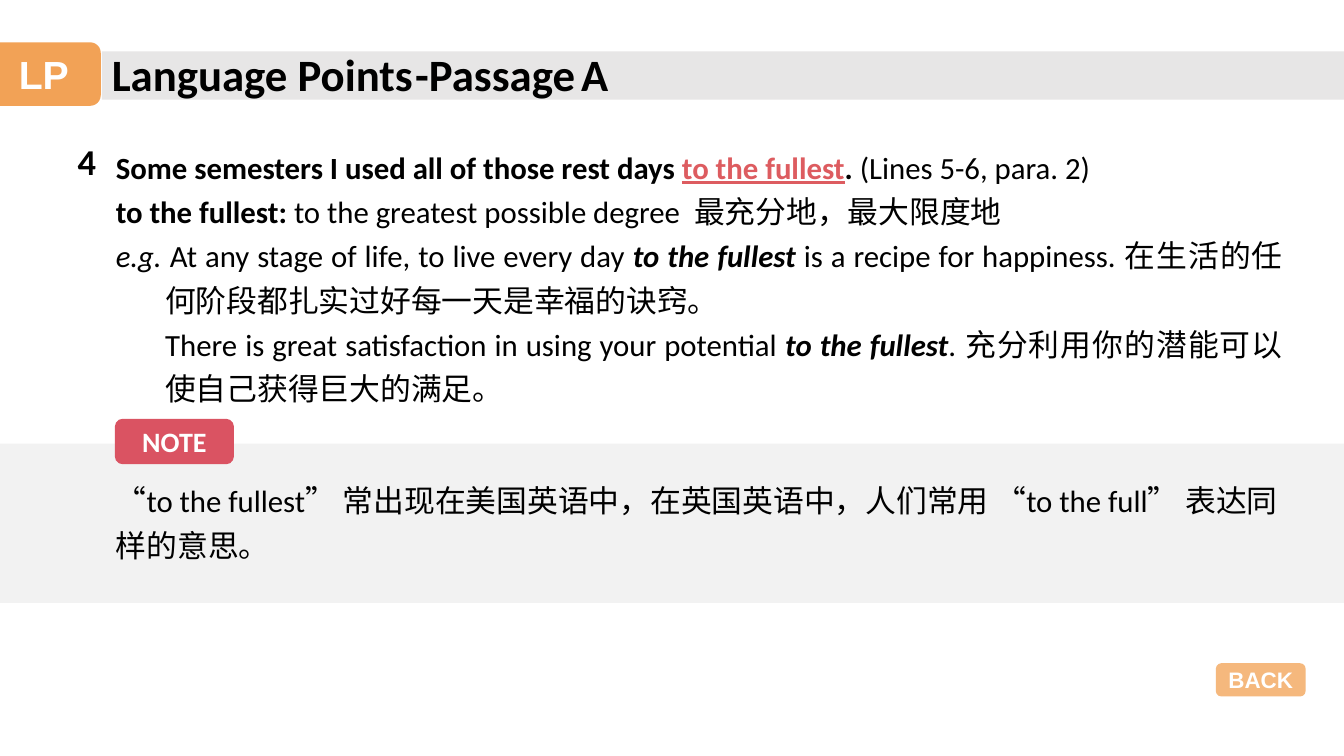
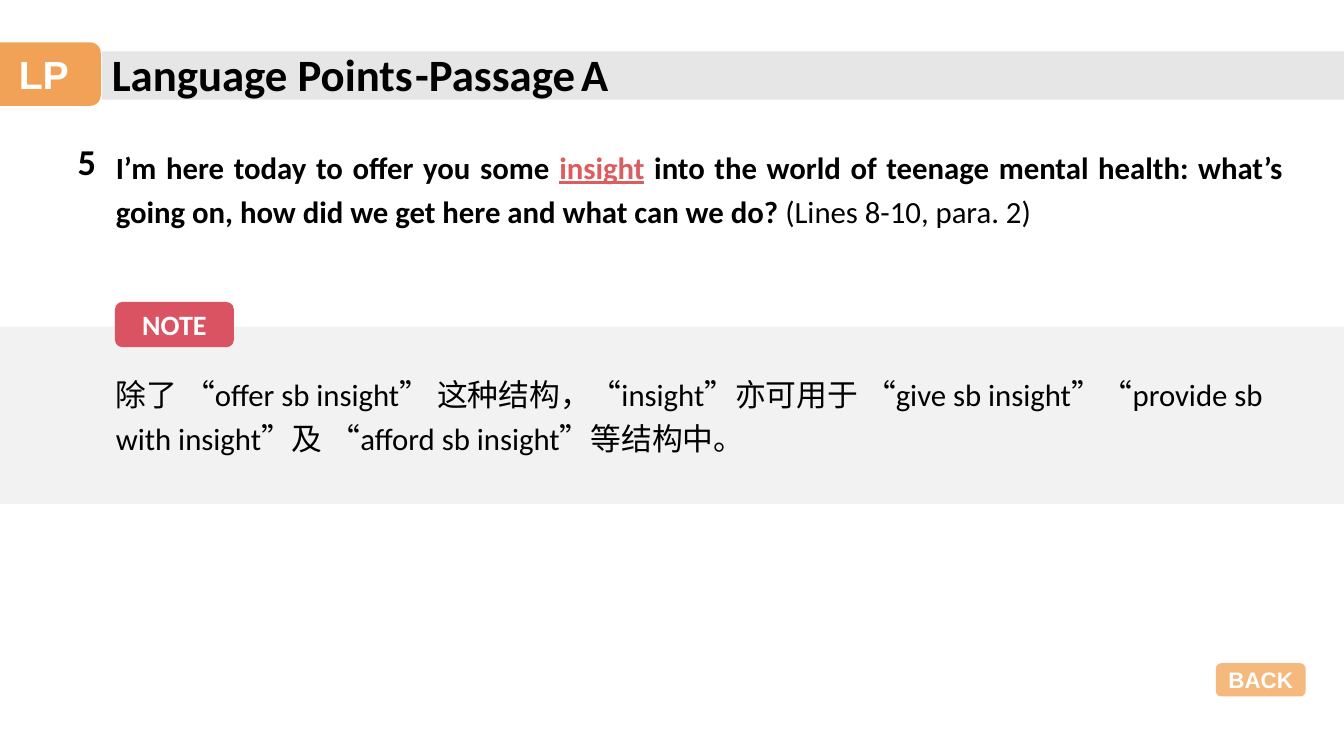
import pptx
import pptx.util
import pptx.dml.color
import pptx.enum.shapes
import pptx.enum.text
import pptx.oxml
import pptx.oxml.ns
from dataclasses import dataclass

KIND = pptx.enum.shapes.MSO_SHAPE
ALIGN = pptx.enum.text.PP_ALIGN
MID = pptx.enum.text.MSO_ANCHOR.MIDDLE


@dataclass(frozen=True)
class Theme:
    black: str = "000000"
    white: str = "FFFFFF"
    orange: str = "F19B48"
    red: str = "DA5362"
    key: str = "DD5C60"
    bar: str = "E7E6E6"
    band: str = "F2F2F2"
    latin: str = "Calibri"
    label: str = "Arial"
    asian: str = "Noto Sans CJK SC"
    title: int = 32
    gap: int = 18
    badge: int = 28
    number: int = 26
    body: int = 22
    note: int = 20
    back: int = 16
    lines: float = 1.2


class Deck:
    """Draws the lesson slides, with lengths in percent of the slide size."""

    def __init__(self, theme):
        self.theme = theme
        self.show = pptx.Presentation()
        self.show.slide_width = pptx.util.Inches(13.333)
        self.show.slide_height = pptx.util.Inches(7.5)
        self.slide = None

    def place(self, x, y, w, h):
        wide, high = self.show.slide_width, self.show.slide_height
        return [int(part * side / 100) for part, side in
                ((x, wide), (y, high), (w, wide), (h, high))]

    def style(self, run, size, color=None, face=None, bold=False,
              italic=False, under=False):
        font = run.font
        font.size = pptx.util.Pt(size)
        font.bold, font.italic, font.underline = bold, italic, under
        font.color.rgb = pptx.dml.color.RGBColor.from_string(
            color or self.theme.black)
        font.name = face or self.theme.latin
        asian = pptx.oxml.parse_xml(
            f'<a:ea {pptx.oxml.ns.nsdecls("a")} typeface="{self.theme.asian}"/>')
        run.font._element.find(pptx.oxml.ns.qn("a:latin")).addnext(asian)

    def block(self, kind, box, fill, alpha=100):
        shape = self.slide.shapes.add_shape(kind, *self.place(*box))
        shape.shadow.inherit = False
        shape.line.fill.background()
        shape.fill.solid()
        shape.fill.fore_color.rgb = pptx.dml.color.RGBColor.from_string(fill)
        if alpha < 100:
            color = shape.fill._xPr.find(".//" + pptx.oxml.ns.qn("a:srgbClr"))
            color.append(pptx.oxml.parse_xml(
                f'<a:alpha {pptx.oxml.ns.nsdecls("a")} val="{alpha * 1000}"/>'))
        return shape

    def tag(self, text, box, fill, size, face, alpha=100):
        frame = self.block(KIND.ROUNDED_RECTANGLE, box, fill, alpha).text_frame
        frame.word_wrap = False
        frame.vertical_anchor = MID
        frame.text = text
        para = frame.paragraphs[0]
        para.alignment = ALIGN.CENTER
        self.style(para.runs[0], size, self.theme.white, face, bold=True)

    def text(self, box, paras, size, align=ALIGN.LEFT, lines=None):
        frame = self.slide.shapes.add_textbox(*self.place(*box)).text_frame
        frame.word_wrap = True
        for i, (left, first, parts) in enumerate(paras):
            para = frame.paragraphs[0] if i == 0 else frame.add_paragraph()
            props = para._p.get_or_add_pPr()
            props.set("marL", str(pptx.util.Inches(left)))
            props.set("indent", str(pptx.util.Inches(first)))
            para.alignment = align
            para.line_spacing = lines
            for words, look in parts:
                run = para.add_run()
                run.text = words
                self.style(run, **{"size": size, **look})

    def page(self, number):
        look = self.theme
        bold = {"bold": True}
        self.slide = self.show.slides.add_slide(self.show.slide_layouts[6])
        self.block(KIND.RECTANGLE, (7.58, 6.8, 92.42, 6.4), look.bar)
        self.tag("LP", (-0.98, 5.6, 8.48, 8.4), look.orange,
                 look.badge, look.label, 92)
        self.text((7.58, 5.47, 36.38, 8.53),
                  [(0, 0, [("Language Points", bold)])], look.title)
        self.text((30.15, 5.47, 18.53, 8.53),
                  [(0, 0, [("-Passage", bold), (" ", {"size": look.gap}),
                           ("A", bold)])], look.title)
        self.text((5.03, 17.73, 3.53, 7.2),
                  [(0, 0, [(number, bold)])], look.number)
        self.tag("BACK", (90.47, 87.73, 6.68, 4.4), look.orange,
                 look.back, look.label, 71)

    def body(self, high, paras):
        self.text((7.88, 18, 88.3, high), paras, self.theme.body,
                  ALIGN.JUSTIFY, self.theme.lines)

    def note(self, top, high, start, words):
        look = self.theme
        self.block(KIND.RECTANGLE, (0, top, 100, high), look.band)
        self.text((7.88, start, 88.8, 13), [(0, 0, [(words, {})])],
                  look.body, lines=look.lines)
        self.tag("NOTE", (8.55, top - 3.27, 8.85, 6), look.red,
                 look.note, look.latin)


def main():
    theme = Theme()
    deck = Deck(theme)
    plain, bold, slant = {}, {"bold": True}, {"italic": True}
    strong = {"bold": True, "italic": True}
    key = {"bold": True, "under": True, "color": theme.key}
    asian = {"face": theme.asian}

    deck.page("4")
    deck.body(36.4, [
        (0, 0, [("Some semesters I used all of those rest days ", bold),
                ("to the fullest", key), (". ", bold),
                ("(Lines 5-6, para. 2)", plain)]),
        (0, 0, [("to the fullest: ", bold),
                ("to the greatest possible degree ", plain),
                (" 最充分地，最大限度地", asian)]),
        (0.49, -0.49, [
            ("e.g. ", slant),
            ("At any stage of life, to live every day ", plain),
            ("to the fullest ", strong),
            ("is a recipe for happiness. ", plain),
            ("在生活的任何阶段都扎实过好每一天是幸福的诀窍。", asian)]),
        (0.49, 0, [
            ("There is great satisfaction in using your potential ", plain),
            ("to the fullest", strong), (". ", plain),
            ("充分利用你的潜能可以使自己获得巨大的满足。", asian)]),
    ])
    deck.note(58.67, 21.07, 62.13,
              "“to the fullest” 常出现在美国英语中，在英国英语中，"
              "人们常用 “to the full” 表达同样的意思。")

    deck.page("5")
    deck.body(12.8, [
        (0, 0, [("I’m here today to offer you some ", bold),
                ("insight", key),
                (" into the world of teenage mental health: what’s going on, "
                 "how did we get here and what can we do? ", bold),
                ("(Lines 8-10, para. 2)", plain)]),
    ])
    deck.note(43.2, 23.47, 48,
              "除了 “offer sb insight” 这种结构，“insight”亦可用于 "
              "“give sb insight”“provide sb with insight”及 "
              "“afford sb insight”等结构中。")

    deck.show.save("out.pptx")


if __name__ == "__main__":
    main()
